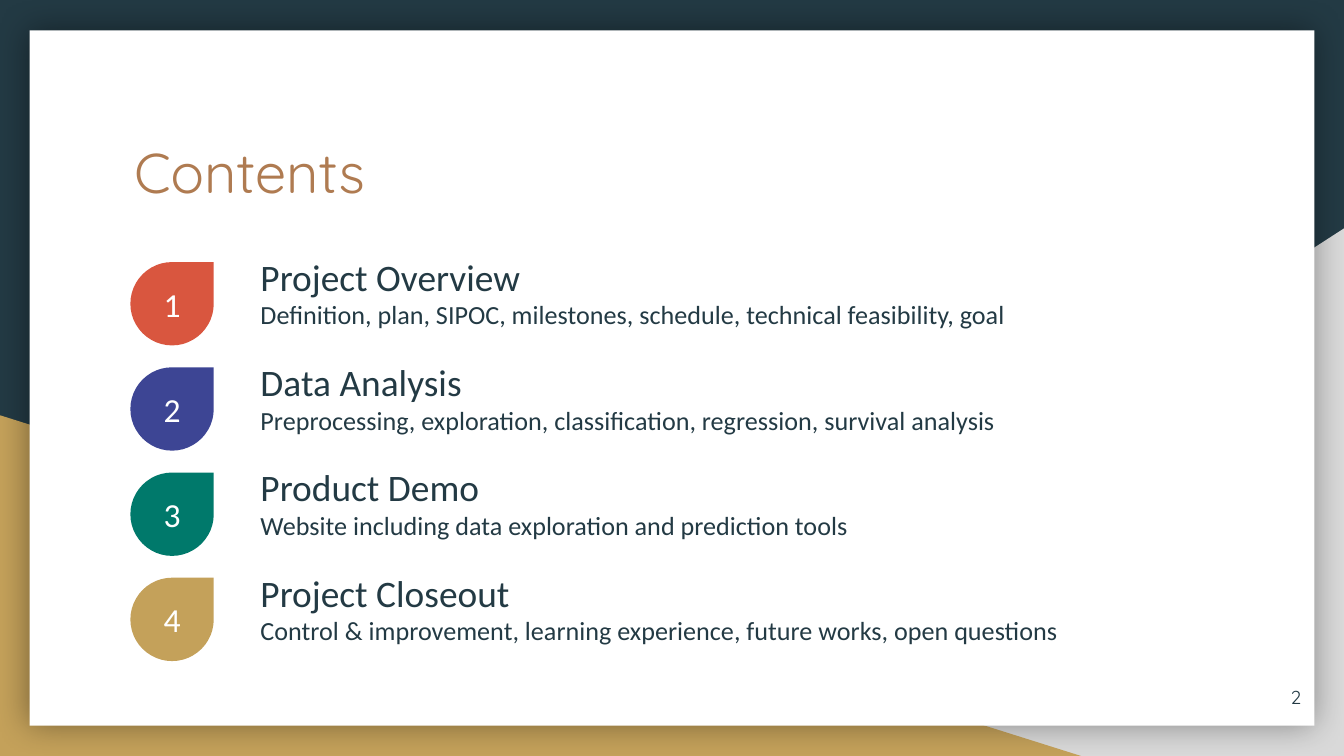
from dataclasses import dataclass

from lxml.etree import SubElement
from pptx import Presentation
from pptx.dml.color import RGBColor
from pptx.enum.shapes import MSO_SHAPE
from pptx.enum.text import MSO_ANCHOR, PP_ALIGN
from pptx.oxml.ns import qn
from pptx.shapes.autoshape import Shape
from pptx.slide import Slide
from pptx.util import Inches, Pt

NAVY = RGBColor(0x23, 0x3A, 0x44)
GRAY = RGBColor(0xD9, 0xD9, 0xD9)
GOLD = RGBColor(0xC4, 0xA1, 0x5A)
WHITE = RGBColor(0xFF, 0xFF, 0xFF)
BROWN = RGBColor(0xAF, 0x7B, 0x51)
RED = RGBColor(0xD9, 0x56, 0x3F)
BLUE = RGBColor(0x3D, 0x45, 0x94)
GREEN = RGBColor(0x00, 0x79, 0x6B)

CELL = Inches(0.1)
STEP = 7.83


@dataclass(frozen=True)
class Box:
    col: float
    row: float
    wide: float
    high: float

    def place(self) -> list[int]:
        return [round(n * CELL) for n in (self.col, self.row, self.wide, self.high)]


@dataclass(frozen=True)
class Line:
    text: str
    size: int
    font: str
    color: RGBColor
    align: PP_ALIGN = PP_ALIGN.LEFT


@dataclass(frozen=True)
class Topic:
    color: RGBColor
    title: str
    detail: str


TOPICS = [
    Topic(RED, "Project Overview",
          "Definition, plan, SIPOC, milestones, schedule, technical feasibility, goal"),
    Topic(BLUE, "Data Analysis",
          "Preprocessing, exploration, classification, regression, survival analysis"),
    Topic(GREEN, "Product Demo",
          "Website including data exploration and prediction tools"),
    Topic(GOLD, "Project Closeout",
          "Control & improvement, learning experience, future works, open questions"),
]


def write(shape: Shape, lines: list[Line], anchor: MSO_ANCHOR) -> None:
    frame = shape.text_frame
    frame.word_wrap = True
    frame.vertical_anchor = anchor
    frame.margin_left = frame.margin_right = CELL
    frame.margin_top = frame.margin_bottom = CELL
    for i, line in enumerate(lines):
        para = frame.add_paragraph() if i else frame.paragraphs[0]
        para.text = line.text
        para.alignment = line.align
        para.font.size = Pt(line.size)
        para.font.name = line.font
        para.font.color.rgb = line.color


def add_form(slide: Slide, kind: MSO_SHAPE, box: Box, color: RGBColor) -> Shape:
    shape = slide.shapes.add_shape(kind, *box.place())
    shape.shadow.inherit = False
    shape.fill.solid()
    shape.fill.fore_color.rgb = color
    shape.line.fill.background()
    return shape


def add_text(slide: Slide, box: Box, lines: list[Line],
             anchor: MSO_ANCHOR = MSO_ANCHOR.TOP) -> None:
    write(slide.shapes.add_textbox(*box.place()), lines, anchor)


def add_glow(shape: Shape) -> None:
    effects = shape._element.spPr.find(qn("a:effectLst"))
    glow = SubElement(effects, qn("a:outerShdw"), blurRad=str(Pt(18)),
                      dist="0", dir="0", algn="ctr", rotWithShape="0")
    color = SubElement(glow, qn("a:srgbClr"), val="000000")
    SubElement(color, qn("a:alpha"), val="40000")


def add_topic(slide: Slide, index: int, topic: Topic) -> None:
    shift = index * STEP
    drop = add_form(slide, MSO_SHAPE.TEAR, Box(9.7, 19.5 + shift, 6.2, 6.2), topic.color)
    write(drop, [Line(str(index + 1), 18, "Calibri", WHITE, PP_ALIGN.CENTER)],
          MSO_ANCHOR.MIDDLE)
    add_text(slide, Box(18.4, 17.9 + shift, 70, 8), [
        Line(topic.title, 20, "Calibri", NAVY),
        Line(topic.detail, 14, "Calibri", NAVY),
    ])


def main() -> None:
    deck = Presentation()
    deck.slide_width = Inches(10)
    deck.slide_height = deck.slide_width * 9 // 16
    slide = deck.slides.add_slide(deck.slide_layouts[6])
    slide.background.fill.solid()
    slide.background.fill.fore_color.rgb = NAVY

    wedge = add_form(slide, MSO_SHAPE.RIGHT_TRIANGLE, Box(39.2, 17, 60.8, 39.3), GRAY)
    wedge._element.spPr.find(qn("a:xfrm")).set("flipH", "1")
    add_form(slide, MSO_SHAPE.RIGHT_TRIANGLE, Box(0, 30.9, 80.6, 25.4), GOLD)
    add_glow(add_form(slide, MSO_SHAPE.RECTANGLE, Box(2.2, 2.25, 95.6, 51.75), WHITE))

    add_text(slide, Box(9, 9.2, 82.1, 10.4), [Line("Contents", 30, "Quicksand", BROWN)])
    add_text(slide, Box(91.8, 49.7, 6, 4.3),
             [Line("2", 10, "Quicksand", NAVY, PP_ALIGN.RIGHT)], MSO_ANCHOR.MIDDLE)
    for index, topic in enumerate(TOPICS):
        add_topic(slide, index, topic)
    deck.save("out.pptx")


if __name__ == "__main__":
    main()
